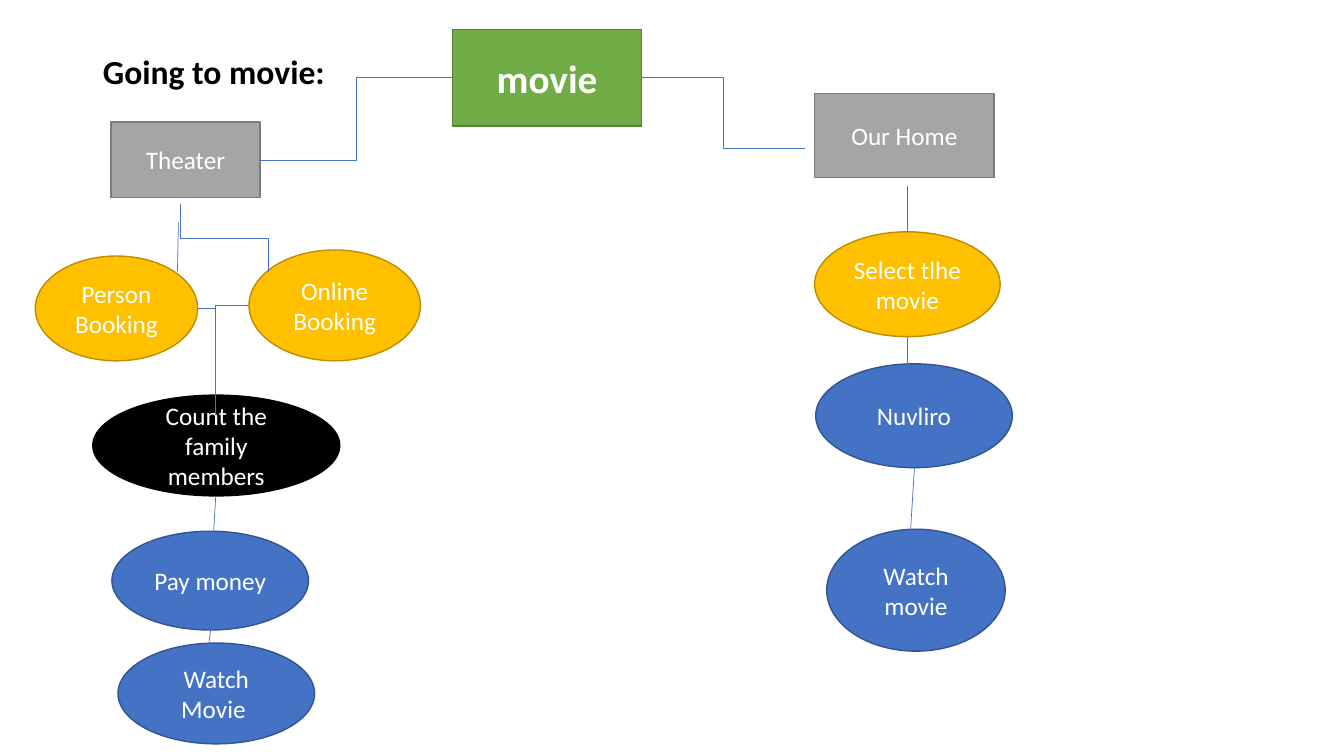
from dataclasses import dataclass

from lxml import etree
from pptx import Presentation
from pptx.dml.color import RGBColor
from pptx.enum.shapes import MSO_CONNECTOR, MSO_SHAPE
from pptx.enum.text import MSO_ANCHOR, MSO_AUTO_SIZE, PP_ALIGN
from pptx.oxml.ns import qn
from pptx.util import Inches, Pt

BOX, OVAL = MSO_SHAPE.ACTION_BUTTON_CUSTOM, MSO_SHAPE.OVAL
LINE, BENT = MSO_CONNECTOR.STRAIGHT, MSO_CONNECTOR.ELBOW
MIDDLE, NO_FIT = MSO_ANCHOR.MIDDLE, MSO_AUTO_SIZE.NONE
LEFT, CENTER = PP_ALIGN.LEFT, PP_ALIGN.CENTER


@dataclass(frozen=True)
class Theme:
    """Colours, type sizes and line widths of the slide."""
    font: str = "Calibri"
    dark: str = "000000"
    light: str = "FFFFFF"
    wire: str = "4472C4"
    head: int = 24
    root: int = 28
    body: int = 18
    edge: float = 1
    thin: float = 0.5


THEME = Theme()

# kind: (shape, fill, outline, text format)
PLAIN = {"size": THEME.body, "bold": False}
KINDS = {
    "root": (BOX, "70AD47", "538035", {"size": THEME.root, "bold": True}),
    "place": (BOX, "A5A5A5", "7A7A7A", PLAIN),
    "choice": (OVAL, "FFC000", "BD8E00", PLAIN),
    "count": (OVAL, "000000", "000000", PLAIN),
    "step": (OVAL, "4472C4", "325491", PLAIN),
}

TITLE = "Going to movie:"
TITLE_AT = (0.92, 0.5, 11.5, 0.4)

# kind, text, (left, top, width, height)
NODES = [
    ("root", "movie", (4.49, 0.29, 1.87, 0.96)),
    ("place", "Theater", (1.1, 1.21, 1.48, 0.75)),
    ("place", "Our Home", (8.08, 0.93, 1.78, 0.83)),
    ("count", "Count the family members", (0.92, 3.92, 2.45, 1)),
    ("step", "Nuvliro", (8.09, 3.61, 1.95, 1.03)),
    ("choice", "Online Booking", (2.47, 2.48, 1.7, 1.1)),
    ("choice", "Person Booking", (0.35, 2.54, 1.61, 1.04)),
    ("choice", "Select tlhe movie", (8.08, 2.3, 1.84, 1.04)),
    ("step", "Pay money", (1.11, 5.27, 1.95, 0.98)),
    ("step", "Watch Movie ", (1.17, 6.38, 1.95, 1)),
    ("step", "Watch movie", (8.2, 5.25, 1.77, 1.21)),
]

# route, start, end
LINKS = [
    ("across", (4.49, 0.77), (2.58, 1.59)),
    ("across", (6.36, 0.77), (7.98, 1.47)),
    ("down", (1.79, 2.02), (2.66, 2.7)),
    ("corner", (1.96, 3.06), (2.14, 3.92)),
    ("corner", (2.47, 3.03), (2.14, 4.12)),
    ("straight", (1.77, 2.21), (1.76, 2.69)),
    ("straight", (2.14, 4.92), (2.09, 5.76)),
    ("straight", (2.09, 6.25), (2.05, 6.53)),
    ("straight", (9, 1.85), (9, 2.3)),
    ("straight", (9, 3.75), (9, 3.34)),
    ("straight", (9, 5.76), (9.07, 4.64)),
]


def color(code):
    """Turn a hex code into a colour."""
    return RGBColor.from_string(code)


def write(shape, text, style, tint, align):
    """Put formatted text in a shape."""
    frame = shape.text_frame
    for name, value in {"word_wrap": True, "auto_size": NO_FIT,
                        "vertical_anchor": MIDDLE}.items():
        setattr(frame, name, value)
    para = frame.paragraphs[0]
    para.alignment = align
    run = para.add_run()
    run.text = text
    look = {**style, "name": THEME.font, "size": Pt(style["size"])}
    for name, value in look.items():
        setattr(run.font, name, value)
    run.font.color.rgb = color(tint)


def add_title(slide):
    """Place and fill the title."""
    title = slide.shapes.title
    for name, value in zip(("left", "top", "width", "height"), TITLE_AT):
        setattr(title, name, Inches(value))
    style = {"size": THEME.head, "bold": True}
    write(title, TITLE, style, THEME.dark, LEFT)


def add_node(slide, kind, text, place):
    """Draw one labelled box or oval."""
    form, fill, edge, style = KINDS[kind]
    shape = slide.shapes.add_shape(form, *map(Inches, place))
    shape.shadow.inherit = False
    shape.fill.solid()
    shape.fill.fore_color.rgb = color(fill)
    shape.line.color.rgb = color(edge)
    shape.line.width = Pt(THEME.edge)
    write(shape, text, style, THEME.light, CENTER)


def add_link(slide, route, start, end):
    """Draw one line; a "down" elbow leaves its start vertically."""
    (x1, y1), (x2, y2) = start, end
    if route == "down":
        mid_x, mid_y = (x1 + x2) / 2, (y1 + y2) / 2
        half_w, half_h = (y2 - y1) / 2, (x2 - x1) / 2
        x1, x2 = mid_x - half_w, mid_x + half_w
        y1, y2 = mid_y - half_h, mid_y + half_h
    kind = LINE if route == "straight" else BENT
    link = slide.shapes.add_connector(kind, *map(Inches, (x1, y1, x2, y2)))
    link.line.color.rgb = color(THEME.wire)
    link.line.width = Pt(THEME.thin)
    props = link._element.spPr
    if route == "down":
        frame = props.find(qn("a:xfrm"))
        frame.set("rot", "16200000")
        frame.set("flipH", "1")
    if route == "corner":
        props.find(qn("a:prstGeom")).set("prst", "bentConnector2")
    etree.SubElement(props, qn("a:effectLst"))


def main():
    """Build and save the slide."""
    deck = Presentation()
    deck.slide_width, deck.slide_height = Inches(13.33), Inches(7.5)
    slide = deck.slides.add_slide(deck.slide_layouts[5])
    add_title(slide)
    for node in NODES:
        add_node(slide, *node)
    for link in LINKS:
        add_link(slide, *link)
    deck.save("out.pptx")


main()
